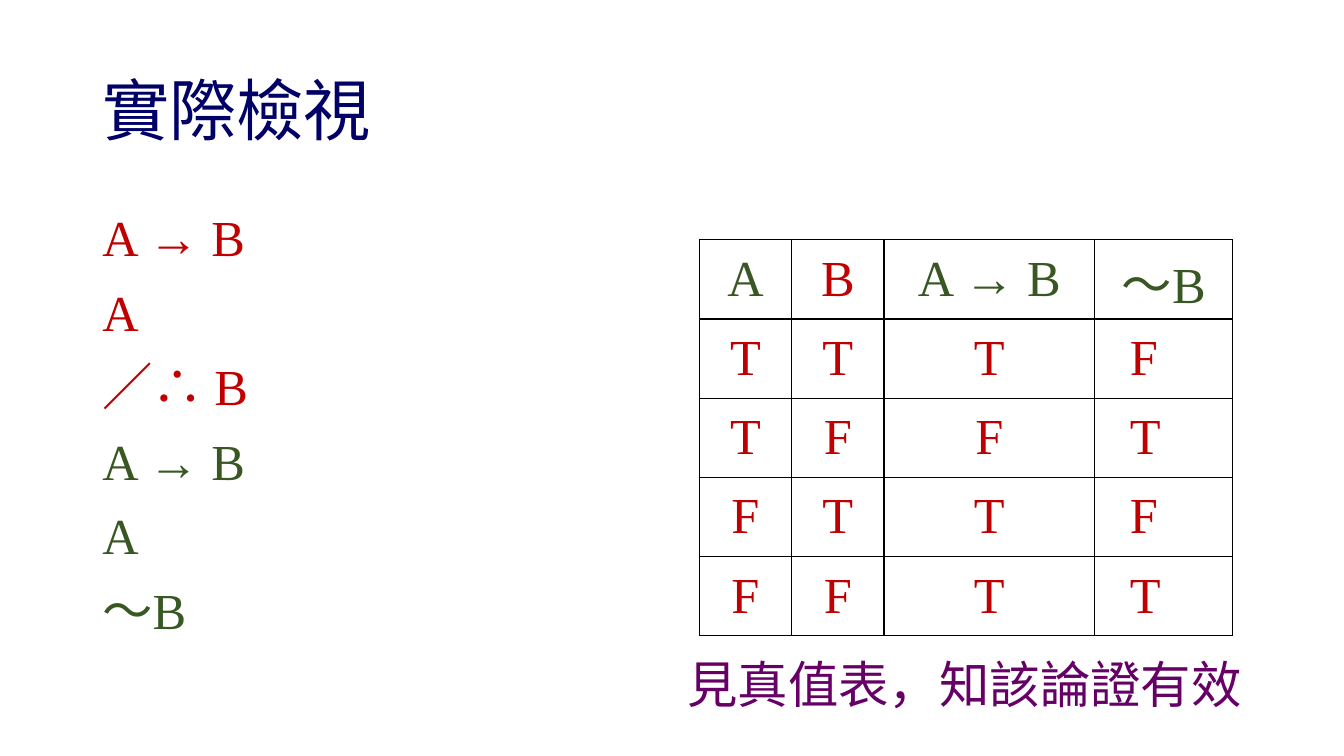
import pptx
import pptx.util
import pptx.dml.color
import pptx.enum.text
import pptx.oxml.ns
from lxml import etree

Pt = pptx.util.Pt
ALIGN = pptx.enum.text.PP_ALIGN
MIDDLE = pptx.enum.text.MSO_ANCHOR.MIDDLE
SERIF, SANS = "Times New Roman", "Calibri"

# Content
COLORS = {"navy": "000066", "red": "C00000", "green": "385723",
          "purple": "660066", "black": "000000"}
TITLE = "實際檢視"
ARGUMENT = [("A → B", "red"), ("A", "red"), ("／∴ B", "red"),
            ("A → B", "green"), ("A", "green"), ("～B", "green")]
CONCLUSION = [("見真值表，知該", SERIF), ("論證有效", SANS)]
HEADERS = [("A", "green"), ("B", "red"), ("A → B", "green"), ("～B", "green")]
TRUTH_ROWS = ["TTTF", "TFFT", "FTTF", "FFTT"]

# Layout
LEFT, WIDTH = 66, 828
TITLE_TOP, TITLE_HEIGHT = 28.8, 104.4
BODY_TOP, BODY_HEIGHT = 144, 380
TABLE_LEFT, TABLE_TOP = 499.5, 171.2
COLUMN_WIDTHS = [66, 66, 150.4, 98.6]
ROW_HEIGHT = 56.6
NEGATION_INDENT = 25.2

presentation = pptx.Presentation()
presentation.slide_width, presentation.slide_height = Pt(960), Pt(540)
slide = presentation.slides.add_slide(presentation.slide_layouts[6])


def write(paragraph, text, *, color, size=36, font=SERIF, align=ALIGN.LEFT,
          before=0, line=None):
    paragraph.alignment = align
    paragraph.space_before = Pt(before)
    if line is not None:
        paragraph.line_spacing = line
    run = paragraph.add_run()
    run.text = text
    run.font.size, run.font.name = Pt(size), font
    run.font.color.rgb = pptx.dml.color.RGBColor.from_string(COLORS[color])


def add_frame(top, height):
    frame = slide.shapes.add_textbox(Pt(LEFT), Pt(top), Pt(WIDTH), Pt(height)).text_frame
    frame.word_wrap = True
    return frame


def add_borders(cell):
    properties = cell._tc.get_or_add_tcPr()
    qn = pptx.oxml.ns.qn
    for side in ("lnL", "lnR", "lnT", "lnB"):
        border = etree.SubElement(properties, qn("a:" + side), w=str(Pt(1)))
        fill = etree.SubElement(border, qn("a:solidFill"))
        etree.SubElement(fill, qn("a:srgbClr"), val=COLORS["black"])


# Title
title = add_frame(TITLE_TOP, TITLE_HEIGHT)
title.vertical_anchor = MIDDLE
write(title.paragraphs[0], TITLE, color="navy", size=48, font=SANS, line=0.9)

# Arguments and conclusion
body = add_frame(BODY_TOP, BODY_HEIGHT)
body_format = {"before": 10, "line": Pt(43.2)}
for index, (text, color) in enumerate(ARGUMENT):
    paragraph = body.add_paragraph() if index else body.paragraphs[0]
    write(paragraph, text, color=color, **body_format)
paragraph = body.add_paragraph()
for text, font in CONCLUSION:
    write(paragraph, text, color="purple", font=font, align=ALIGN.RIGHT, **body_format)

# Truth table
rows = [HEADERS] + [[(value, "red") for value in values] for values in TRUTH_ROWS]
table = slide.shapes.add_table(
    len(rows), len(HEADERS), Pt(TABLE_LEFT), Pt(TABLE_TOP),
    Pt(sum(COLUMN_WIDTHS)), Pt(ROW_HEIGHT * len(rows))).table
table.first_row = table.horz_banding = False
for column, width in zip(table.columns, COLUMN_WIDTHS):
    column.width = Pt(width)
for row_index, row in enumerate(rows):
    table.rows[row_index].height = Pt(ROW_HEIGHT)
    for column_index, (text, color) in enumerate(row):
        cell = table.cell(row_index, column_index)
        add_borders(cell)
        cell.fill.background()
        cell.vertical_anchor = MIDDLE
        indented = row_index > 0 and column_index == len(HEADERS) - 1
        if indented:
            cell.margin_left = Pt(NEGATION_INDENT)
        write(cell.text_frame.paragraphs[0], text, color=color,
              align=ALIGN.LEFT if indented else ALIGN.CENTER)

presentation.save("out.pptx")
